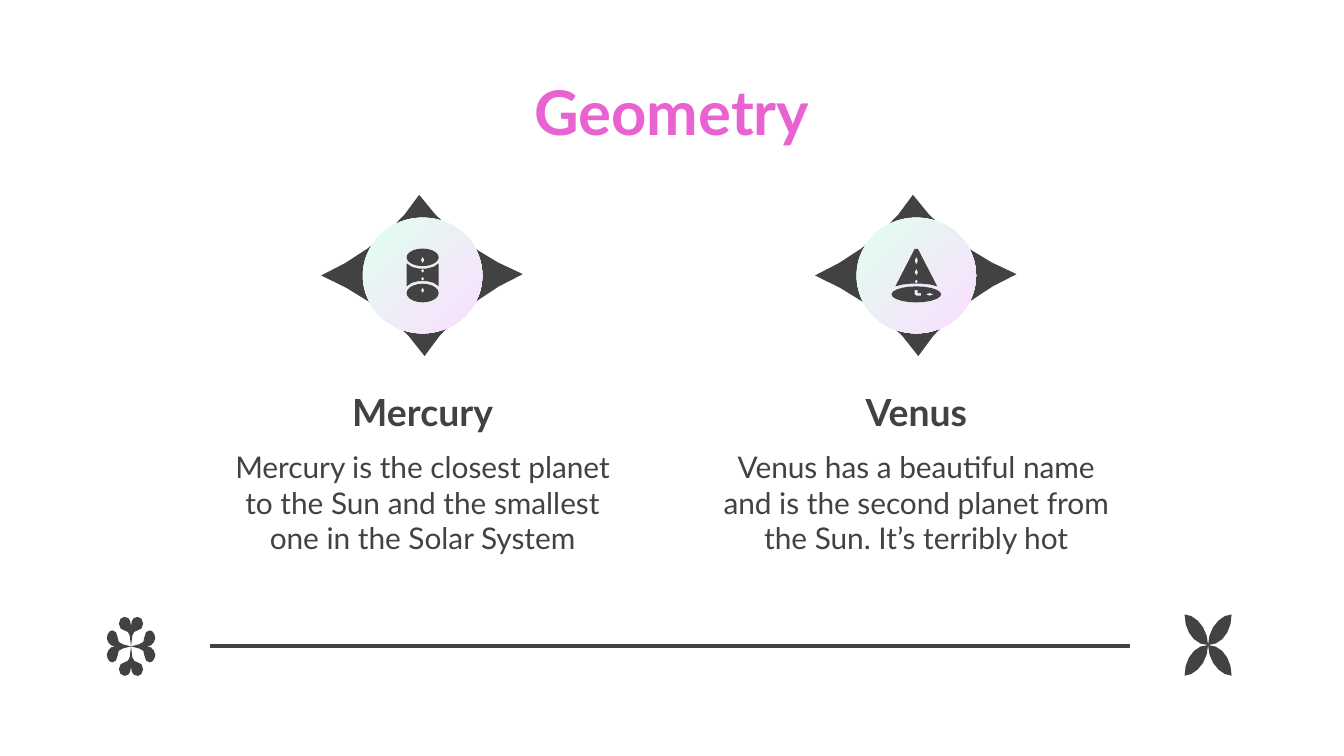
"""Build the Geometry slide with two planet columns."""
from dataclasses import dataclass
from itertools import product
from math import dist
from typing import NamedTuple

from pptx import Presentation
from pptx.dml.color import RGBColor as RGB
from pptx.enum.shapes import MSO_CONNECTOR as CONN, MSO_SHAPE as SHAPE
from pptx.enum.text import MSO_ANCHOR as ANCHOR, MSO_AUTO_SIZE as FIT, PP_ALIGN as ALIGN
from pptx.oxml.xmlchemy import OxmlElement
from pptx.util import Pt

Contour = list[tuple[float, ...]]


@dataclass(frozen=True)
class Theme:
    """Colours, font and type sizes."""
    ink: RGB = RGB(0x42, 0x42, 0x42)
    accent: RGB = RGB(0xE9, 0x62, 0xD1)
    mint: RGB = RGB(0xE0, 0xFF, 0xEE)
    pink: RGB = RGB(0xFB, 0xDD, 0xFF)
    font: str = "Lato"
    title: float = 33
    heading: float = 20
    body: float = 16


class Box(NamedTuple):
    """A rectangle in points."""
    left: float
    top: float
    width: float
    height: float


class Column(NamedTuple):
    """One planet with its icon and text."""
    center: float
    width: float
    name: str
    text: str
    icon: list[list[Contour]]


THEME = Theme()
ICON_Y = 147.6
RULE_Y = 346.3


def oval(cx: float, cy: float, rx: float, ry: float) -> Contour:
    """Return an ellipse as four curves."""
    kx, ky = 0.55 * rx, 0.55 * ry
    return [
        (cx + rx, cy),
        (cx + rx, cy + ky, cx + kx, cy + ry, cx, cy + ry),
        (cx - kx, cy + ry, cx - rx, cy + ky, cx - rx, cy),
        (cx - rx, cy - ky, cx - kx, cy - ry, cx, cy - ry),
        (cx + kx, cy - ry, cx + rx, cy - ky, cx + rx, cy),
    ]


def dash(top: float, bottom: float) -> Contour:
    """Return a short vertical dash on the icon's axis."""
    return oval(0, (top + bottom) / 2, 0.9, (bottom - top) / 2)


STAR = [(-1.8, -43.2), (-13.3, -25.2, -32, -10.1, -54.3, 0),
        (-31.3, 10.1, -11.8, 24.5, 1.1, 43.2), (13.3, 24.5, 31.3, 9.4, 53.7, -0.7),
        (30.6, -10.1, 11.2, -25.2, -1.8, -43.2)]
UPRIGHT_PETAL = [(3.6, 15.8), (5, 15.8, 6.5, 14.4, 6.5, 12.2), (6.5, 10.1, 5, 8.6, 3.6, 8.6),
                 (2.2, 8.6, 0.9, 7.2, 0.7, 5.8), (0, 0), (0, 10.8),
                 (0, 13, 0.7, 14.4, 1.4, 15.1), (2.2, 15.8, 2.9, 15.8, 3.6, 15.8)]
SIDE_PETAL = [(10.1, 8.6), (8.6, 8.6, 7.2, 7.2, 7.2, 5), (7.2, 2.9, 6.5, 1.4, 4.3, 1.1),
              (0, 0), (8.6, 0), (10.1, 0, 11.5, 0.7, 12.2, 2.2),
              (12.6, 2.9, 13, 3.6, 13, 4.3), (13, 6.5, 11.5, 8.6, 10.1, 8.6)]
LEAF = [(12.6, 16.4), (6.5, 16.4, 0, 8.6, 0, 0), (7.2, 0, 12.6, 7.2, 12.6, 16.4)]
CYLINDER = [
    [[(-8.6, -6.5), (-8.6, 5.8), (-5, 1.9, 5, 1.9, 8.6, 5.8), (8.6, -6.5),
      (5, -2.6, -5, -2.6, -8.6, -6.5)], dash(-3.6, -1.4), dash(0.7, 2.9)],
    [oval(0, -9.7, 8.6, 4.7), dash(-10.1, -6.5)],
    [oval(0, 9.4, 8.6, 5), dash(6.5, 9.4)],
]
CONE = [
    [[(-0.9, -14.2), (-11.2, 5.8), (-6, 3.8, 6, 3.8, 11.2, 5.8), (0.9, -14.2),
      (0.5, -14.6, -0.5, -14.6, -0.9, -14.2)],
     dash(-10.1, -5.8), dash(-3.6, 0.2), dash(2.2, 4.3)],
    [oval(0, 10.1, 13.3, 4.3), oval(7.2, 10.1, 2.2, 0.7),
     [(-0.9, 7.9), (0.7, 7.9), (0.7, 9.4), (2.6, 9.4), (2.6, 10.8), (0, 10.8), (-0.9, 10.1)]],
]
COLUMNS = [
    Column(226.4, 218, "Mercury", "Mercury is the closest planet to the Sun and the smallest "
           "one in the Solar System", CYLINDER),
    Column(490.9, 224.6, "Venus", "Venus has a beautiful name and is the second planet from "
           "the Sun. It’s terribly hot", CONE),
]


def flatten(contour: Contour) -> list[tuple[float, float]]:
    """Turn a contour of lines and cubic curves into a few points."""
    points = [contour[0]]
    for seg in contour[1:]:
        if len(seg) == 2:
            points.append(seg)
            continue
        nodes = [points[-1], seg[:2], seg[2:4], seg[4:]]
        steps = max(1, min(5, round(dist(nodes[0], nodes[3]) / 2)))
        for t in (i / steps for i in range(1, steps + 1)):
            weights = ((1 - t) ** 3, 3 * t * (1 - t) ** 2, 3 * t * t * (1 - t), t ** 3)
            points.append(tuple(sum(w * n[axis] for w, n in zip(weights, nodes))
                                for axis in (0, 1)))
    return points


def mirror(petals: list[Contour]) -> list[Contour]:
    """Repeat petals in all four quadrants."""
    return [[tuple(v * flip[i % 2] for i, v in enumerate(seg)) for seg in petal]
            for petal, flip in product(petals, product((1, -1), repeat=2))]


def draw_outline(shapes, contours: list[Contour], cx: float, cy: float) -> None:
    """Draw contours as one dark freeform around a centre."""
    rings = [[(Pt(cx + x), Pt(cy + y)) for x, y in flatten(c)] for c in contours]
    builder = shapes.build_freeform(*rings[0][0], scale=1.0)
    for i, ring in enumerate(rings):
        if i:
            builder.move_to(*ring[0])
        builder.add_line_segments(ring[1:], close=True)
    s = builder.convert_to_shape()
    s.fill.solid()
    s.fill.fore_color.rgb = THEME.ink
    s.line.fill.background()
    s.shadow.inherit = False


def write_text(s, box: Box, text: str, size: float, color: RGB, bold: bool = False,
               after: float = 0) -> None:
    """Place a shape and fill it with one centred paragraph."""
    for name, value in box._asdict().items():
        setattr(s, name, Pt(value))
    tf = s.text_frame
    frame = {"word_wrap": True, "auto_size": FIT.NONE, "vertical_anchor": ANCHOR.MIDDLE}
    frame |= {f"margin_{side}": Pt(7.2) for side in ("left", "top", "right", "bottom")}
    p = tf.paragraphs[0]
    r = p.add_run()
    r.text = text
    formats = [(tf, frame),
               (p, {"alignment": ALIGN.CENTER, "space_after": Pt(after)}),
               (r.font, {"name": THEME.font, "size": Pt(size), "bold": bold})]
    for target, values in formats:
        for name, value in values.items():
            setattr(target, name, value)
    r.font.color.rgb = color


def draw_column(shapes, col: Column) -> None:
    """Draw the star, disc, icon and text of a planet."""
    draw_outline(shapes, [STAR], col.center, ICON_Y)
    w, h = 64, 62
    s = shapes.add_shape(SHAPE.OVAL, Pt(col.center - w / 2), Pt(ICON_Y - h / 2), Pt(w), Pt(h))
    s.shadow.inherit = False
    s.line.fill.background()
    s.fill.gradient()
    s.fill.gradient_angle = 315
    for stop, color in zip(s.fill.gradient_stops, (THEME.mint, THEME.pink)):
        stop.color.rgb = color
    for part in col.icon:
        draw_outline(shapes, part, col.center, ICON_Y)
    left = col.center - col.width / 2
    for top, height, text, size, bold in ((203, 34.6, col.name, THEME.heading, True),
                                          (234, 70, col.text, THEME.body, False)):
        write_text(shapes.add_textbox(0, 0, 0, 0), Box(left, top, col.width, height),
                   text, size, THEME.ink, bold, after=12)


def draw_rule(shapes) -> None:
    """Draw the line between the two ornaments."""
    s = shapes.add_connector(CONN.STRAIGHT, Pt(605.5), Pt(RULE_Y), Pt(112.3), Pt(RULE_Y))
    s.line.color.rgb = THEME.ink
    s.line.width = Pt(2.25)
    s._element.spPr.append(OxmlElement("a:effectLst"))


def main() -> None:
    """Build and save the slide."""
    prs = Presentation()
    prs.slide_width, prs.slide_height = Pt(720), Pt(405)
    slide = prs.slides.add_slide(prs.slide_layouts[5])
    shapes = slide.shapes
    draw_outline(shapes, mirror([UPRIGHT_PETAL, SIDE_PETAL]), 70.2, RULE_Y)
    draw_outline(shapes, mirror([LEAF]), 647.2, 345.6)
    draw_rule(shapes)
    write_text(shapes.title, Box(58.3, 36.9, 603.4, 45.4), "Geometry", THEME.title,
               THEME.accent, bold=True)
    for col in COLUMNS:
        draw_column(shapes, col)
    prs.save("out.pptx")


if __name__ == "__main__":
    main()
